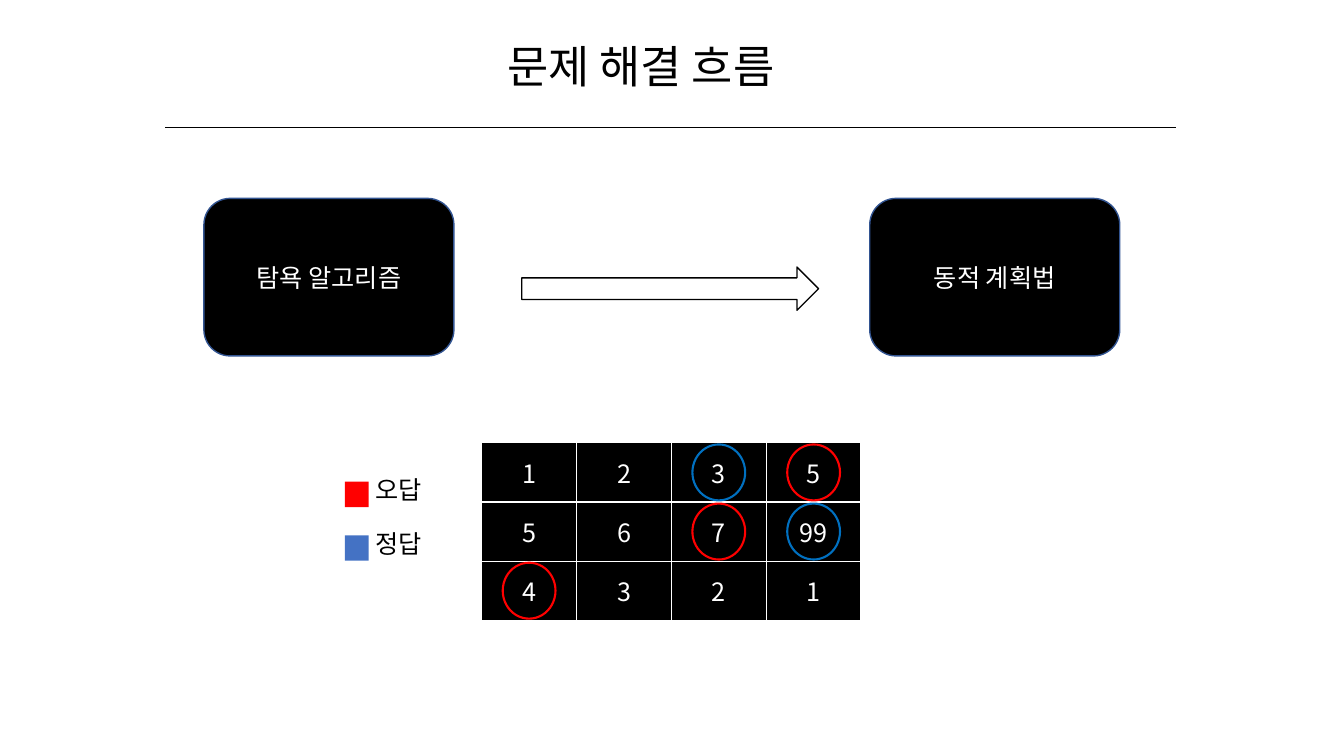
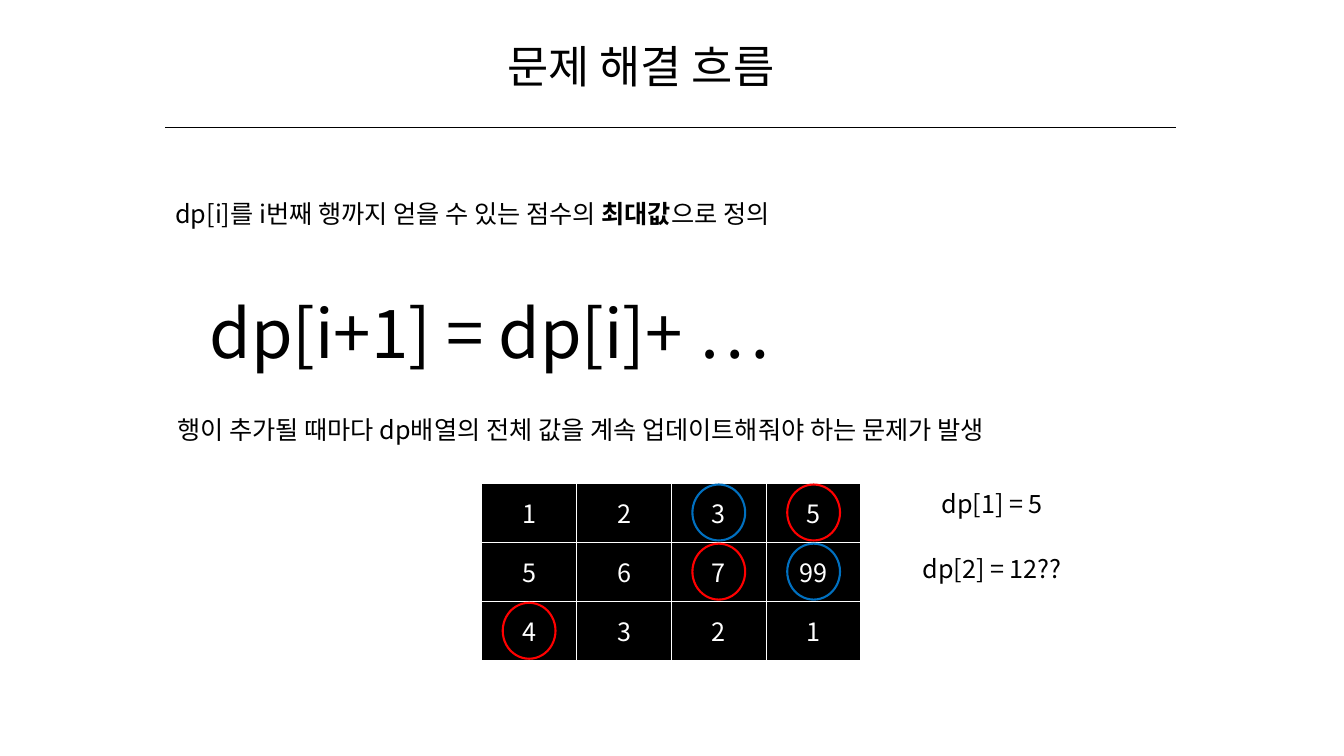
from lxml.etree import SubElement
from pptx import Presentation
from pptx.dml.color import RGBColor
from pptx.enum.shapes import MSO_CONNECTOR, MSO_SHAPE
from pptx.enum.text import MSO_ANCHOR, MSO_AUTO_SIZE, PP_ALIGN
from pptx.oxml import parse_xml
from pptx.oxml.ns import nsdecls, qn
from pptx.util import Cm, Pt

FONT = "Noto Sans CJK KR"
COLORS = {
    "black": "000000",
    "white": "FFFFFF",
    "edge": "325491",
    "wrong": "FF0000",
    "right": "0070C0",
    "legend": "4472C4",
}
C = {name: RGBColor.from_string(value) for name, value in COLORS.items()}

TITLE = "문제 해결 흐름"
SCORES = [[1, 2, 3, 5], [5, 6, 7, 99], [4, 3, 2, 1]]
CIRCLES = [(0, 3, "wrong"), (1, 2, "wrong"), (2, 0, "wrong"), (0, 2, "right"), (1, 3, "right")]
TABLE_X, COL_W, ROW_H = 12.14, 2.39, 1.49
CIRCLE_W, CIRCLE_H = 1.33, 1.41


def write(tf, runs, size=18, color="black", align=PP_ALIGN.CENTER):
    p = tf.paragraphs[0]
    p.alignment = align
    for text, bold in runs:
        r = p.add_run()
        r.text = text
        r.font.size = Pt(size)
        r.font.bold = bold
        r.font.name = FONT
        r.font.color.rgb = C[color]
        SubElement(r.font._element, qn("a:ea"), typeface=FONT)


def add_shape(s, kind, x, y, w, h, fill=None, line=None, weight=1):
    sp = s.shapes.add_shape(kind, Cm(x), Cm(y), Cm(w), Cm(h))
    sp.shadow.inherit = False
    if fill:
        sp.fill.solid()
        sp.fill.fore_color.rgb = C[fill]
    else:
        sp.fill.background()
    if line:
        sp.line.color.rgb = C[line]
        sp.line.width = Pt(weight)
    else:
        sp.line.fill.background()
    return sp


prs = Presentation()
prs.slide_width, prs.slide_height = Cm(33.87), Cm(19.05)

L, M = PP_ALIGN.LEFT, PP_ALIGN.CENTER
slides = [
    {
        "table_y": 11.16,
        "texts": [
            (9.22, 11.82, 3.5, 1.02, 18, L, [("오답", False)]),
            (9.22, 13.18, 3.5, 1.02, 18, L, [("정답", False)]),
        ],
    },
    {
        "table_y": 12.17,
        "texts": [
            (4.17, 4.88, 17.75, 1.02, 18, L, [
                ("dp[i]를 i번째 행까지 얻을 수 있는 점수의 ", False),
                ("최대값", True),
                ("으로 정의", False),
            ]),
            (4.17, 7.21, 16.33, 2.31, 48, M, [("dp[i+1] = dp[i]+ …", False)]),
            (4.22, 10.31, 26.09, 1.02, 18, L, [
                ("행이 추가될 때마다 dp배열의 전체 값을 계속 업데이트해줘야 하는 문제가 발생", False),
            ]),
            (22.81, 12.19, 4.39, 1.02, 18, M, [("dp[1] = 5", False)]),
            (22.81, 13.82, 4.39, 1.02, 18, M, [("dp[2] = 12??", False)]),
        ],
    },
]

for content in slides:
    s = prs.slides.add_slide(prs.slide_layouts[5])

    title = s.shapes.title
    title.left, title.top, title.width, title.height = Cm(9.1), Cm(0.86), Cm(14.1), Cm(1.63)
    title.text_frame.vertical_anchor = MSO_ANCHOR.TOP
    title.text_frame.auto_size = MSO_AUTO_SIZE.SHAPE_TO_FIT_TEXT
    write(title.text_frame, [(TITLE, False)], 32)

    rule = s.shapes.add_connector(MSO_CONNECTOR.STRAIGHT, Cm(4.17), Cm(3.21), Cm(29.64), Cm(3.21))
    rule.line.color.rgb = C["black"]
    rule.line.width = Pt(0.5)
    SubElement(rule._element.spPr, qn("a:effectLst"))

    table_y = content["table_y"]
    table = s.shapes.add_table(3, 4, Cm(TABLE_X), Cm(table_y), Cm(4 * COL_W), Cm(3 * ROW_H)).table
    for col in table.columns:
        col.width = Cm(COL_W)
    for row, values in zip(table.rows, SCORES):
        row.height = Cm(ROW_H)
        for cell, value in zip(row.cells, values):
            cell.vertical_anchor = MSO_ANCHOR.MIDDLE
            cell.fill.solid()
            cell.fill.fore_color.rgb = C["black"]
            write(cell.text_frame, [(str(value), False)], color="white")
            tcPr = cell._tc.get_or_add_tcPr()
            for i, side in enumerate(("lnL", "lnR", "lnT", "lnB")):
                tcPr.insert(i, parse_xml(
                    f'<a:{side} {nsdecls("a")} w="{Pt(1)}"><a:solidFill>'
                    f'<a:srgbClr val="{COLORS["white"]}"/></a:solidFill></a:{side}>'
                ))

    for row, col, color in CIRCLES:
        x = TABLE_X + (col + 0.5) * COL_W - CIRCLE_W / 2
        y = table_y + (row + 0.5) * ROW_H - CIRCLE_H / 2
        add_shape(s, MSO_SHAPE.OVAL, x, y, CIRCLE_W, CIRCLE_H, line=color, weight=1.5)

    for x, y, w, h, size, align, runs in content["texts"]:
        tf = s.shapes.add_textbox(Cm(x), Cm(y), Cm(w), Cm(h)).text_frame
        tf.word_wrap = True
        tf.auto_size = MSO_AUTO_SIZE.SHAPE_TO_FIT_TEXT
        write(tf, runs, size, align=align)

flow = prs.slides[0]
for x, text in ((5.14, "탐욕 알고리즘"), (21.92, "동적 계획법")):
    sp = add_shape(flow, MSO_SHAPE.ROUNDED_RECTANGLE, x, 5, 6.3, 3.97, "black", "edge")
    sp.text_frame.vertical_anchor = MSO_ANCHOR.MIDDLE
    write(sp.text_frame, [(text, False)], color="white")
add_shape(flow, MSO_SHAPE.RIGHT_ARROW, 13.15, 6.73, 7.48, 1.09, "white", "black")
for y, color in ((12.14, "wrong"), (13.49, "legend")):
    add_shape(flow, MSO_SHAPE.RECTANGLE, 8.69, y, 0.6, 0.64, color)

prs.save("out.pptx")
